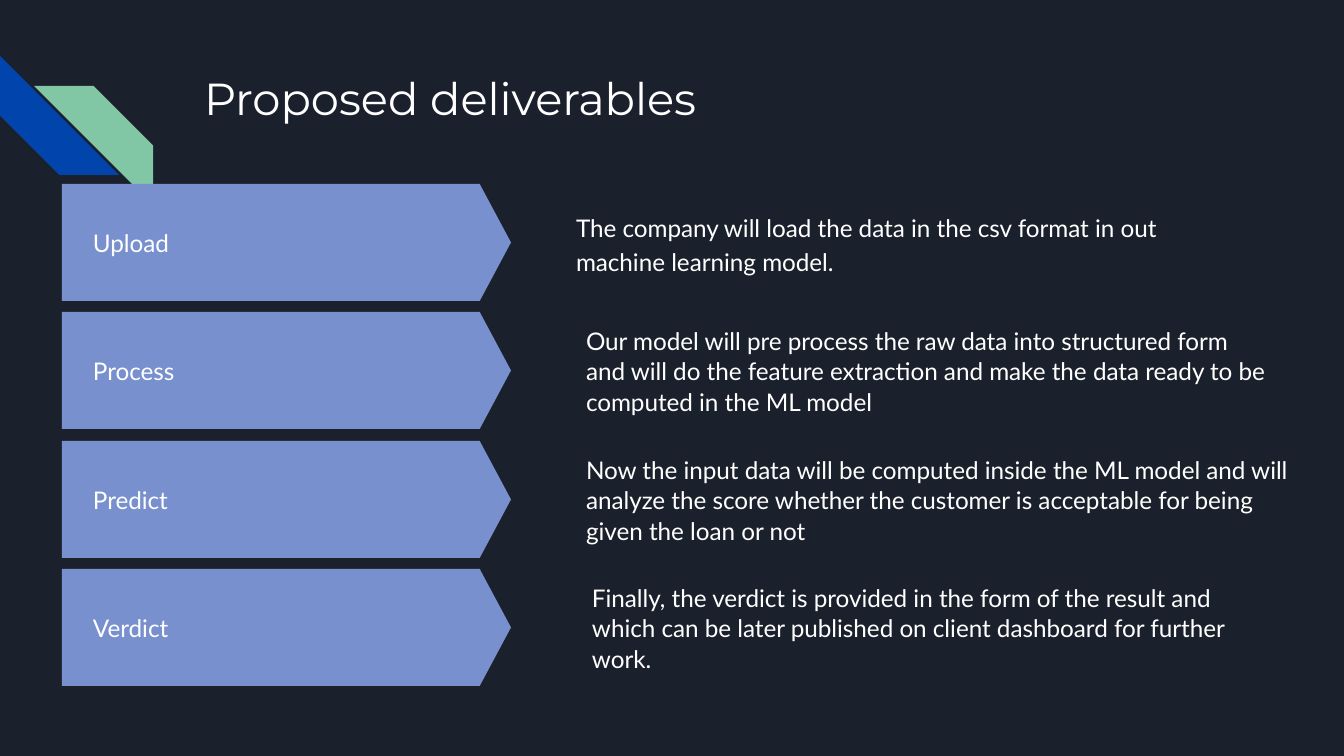
from dataclasses import dataclass

from lxml.etree import SubElement
from pptx import Presentation
from pptx.dml.color import RGBColor
from pptx.enum.shapes import MSO_SHAPE as Shape
from pptx.enum.text import MSO_ANCHOR as Anchor, MSO_AUTO_SIZE as AutoSize, PP_ALIGN as Align
from pptx.oxml.ns import qn
from pptx.util import Emu, Pt

EMU_PER_PX = 914400 / 134.4
COMPARISON_LAYOUT = 4  # a title and four body placeholders


@dataclass(frozen=True)
class Theme:
    background: str = "1B212C"
    blue: str = "0145AC"
    green: str = "82C7A5"
    arrow: str = "7890CD"
    text: str = "FFFFFF"
    title_font: str = "Montserrat"
    body_font: str = "Lato"
    title_size: int = 24
    body_size: int = 13


@dataclass(frozen=True)
class Step:
    label: str
    lines: tuple
    left: int
    indent: int = 0
    spacing: float = 1.05


THEME = Theme()
STEPS = (
    Step("Upload",
         ("The company will load the data in the csv format in out machine learning model.",),
         left=496, indent=67, spacing=1.15),
    Step("Process",
         ("Our model will pre process the raw data into structured form",
          "and will do the feature extraction and make the data ready to be "
          "computed in the ML model"),
         left=573),
    Step("Predict",
         ("Now the input data will be computed inside the ML model and will analyze "
          "the score whether the customer is acceptable for being given the loan or not",),
         left=573),
    Step("Verdict",
         ("Finally, the verdict is provided in the form of the result and which can be "
          "later published on client dashboard for further work.",),
         left=512, indent=67),
)


def px(length):
    return Emu(round(length * EMU_PER_PX))


def color(value):
    return RGBColor.from_string(value)


def place(box, left, top, width, height):
    box.left, box.top, box.width, box.height = map(px, (left, top, width, height))


def add_block(page, kind, bounds, fill, adjustment, rotation=0):
    block = page.shapes.add_shape(kind, *map(px, bounds))
    block.adjustments[0] = adjustment
    block.rotation = rotation
    block.shadow.inherit = False
    block.fill.solid()
    block.fill.fore_color.rgb = color(fill)
    block.line.fill.background()


def write(box, lines, font, size, anchor=Anchor.MIDDLE, indent=0, spacing=1.0):
    """Fill a box with one plain, left-aligned paragraph, broken between lines."""
    frame = box.text_frame
    frame.word_wrap = True
    frame.auto_size = AutoSize.NONE
    frame.vertical_anchor = anchor
    frame.margin_left = frame.margin_right = px(13)
    frame.margin_top = frame.margin_bottom = px(13)

    para = frame.paragraphs[0]
    para.alignment = Align.LEFT
    para.line_spacing = spacing
    para.space_before = para.space_after = Pt(0)
    properties = para._p.get_or_add_pPr()
    properties.set("marL", str(px(indent)))
    properties.set("indent", "0")
    SubElement(properties, qn("a:buNone"))

    for number, line in enumerate(lines):
        if number:
            para.add_line_break()
        span = para.add_run()
        span.text = line
        span.font.name = font
        span.font.size = Pt(size)
        span.font.bold = False
        span.font.color.rgb = color(THEME.text)


def add_corner_stripes(page):
    add_block(page, Shape.DIAGONAL_STRIPE, (0, 56, 119, 119), THEME.blue, 0.5, rotation=270)
    add_block(page, Shape.DIAGONAL_STRIPE, (34, 86, 119, 119), THEME.green, 0.5, rotation=90)


def add_title(page, text):
    title = page.shapes.title
    place(title, 191, 58, 1035, 134)
    write(title, (text,), THEME.title_font, THEME.title_size, anchor=Anchor.TOP)


def add_step(page, step, description, top):
    height = 117
    add_block(page, Shape.PENTAGON, (62, top, 449, height), THEME.arrow, 0.267)
    label = page.shapes.add_textbox(*map(px, (80, top, 356, height)))
    write(label, (step.label,), THEME.body_font, THEME.body_size)
    place(description, step.left, top, 751, height)
    write(description, step.lines, THEME.body_font, THEME.body_size,
          indent=step.indent, spacing=step.spacing)


def main():
    deck = Presentation()
    deck.slide_width, deck.slide_height = px(1344), px(756)
    page = deck.slides.add_slide(deck.slide_layouts[COMPARISON_LAYOUT])
    page.background.fill.solid()
    page.background.fill.fore_color.rgb = color(THEME.background)

    add_corner_stripes(page)
    add_title(page, "Proposed deliverables")
    for row, step in enumerate(STEPS):
        add_step(page, step, page.placeholders[row + 1], top=184 + row * 257 // 2)

    deck.save("out.pptx")


if __name__ == "__main__":
    main()
